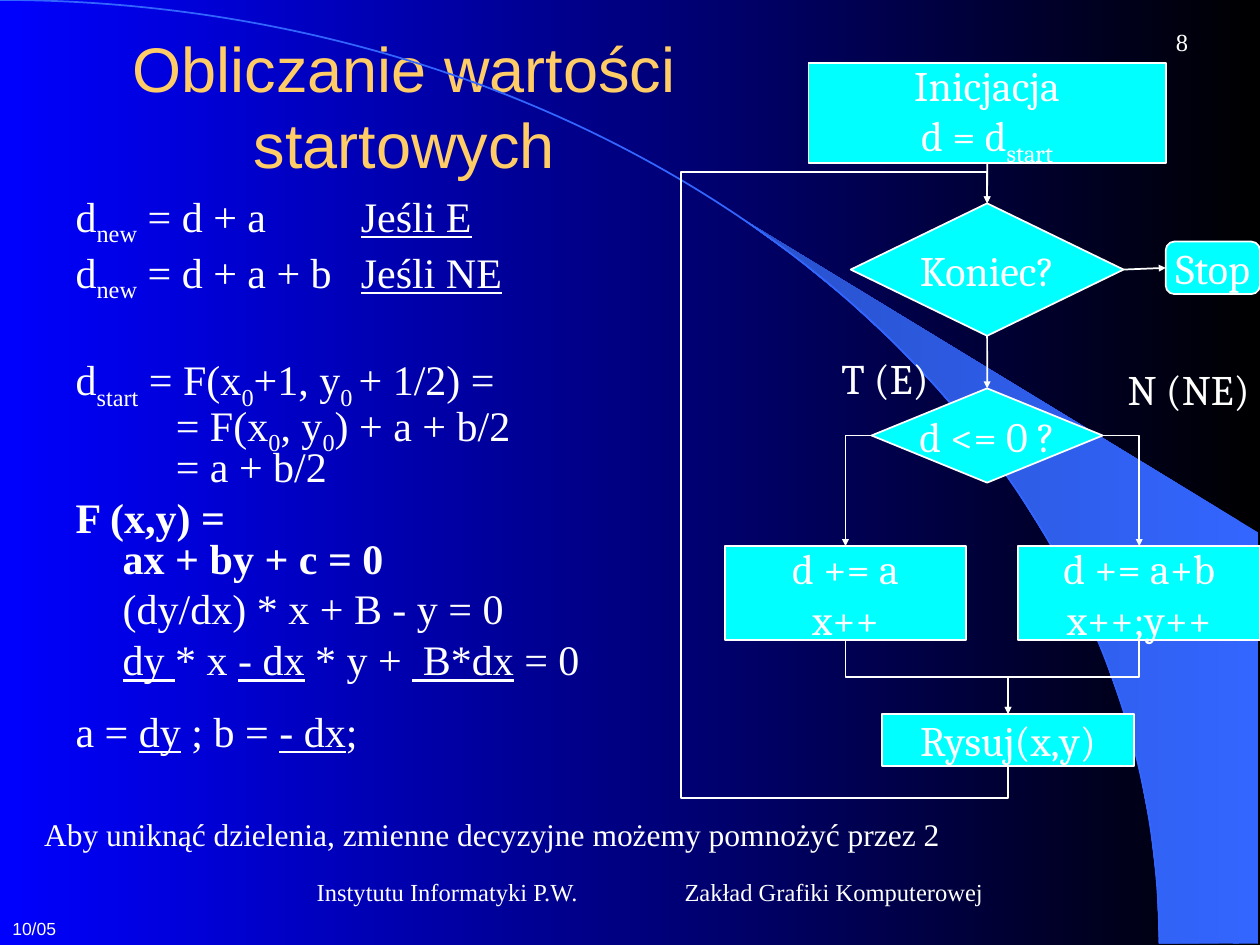
import copy
import math
from dataclasses import dataclass, field
from typing import Any, NamedTuple

import pptx
import pptx.dml.color
import pptx.enum.shapes
import pptx.enum.text
import pptx.oxml
import pptx.oxml.ns
import pptx.util
from lxml import etree

Cm = pptx.util.Cm
Pt = pptx.util.Pt
Kind = pptx.enum.shapes.MSO_SHAPE
Align = pptx.enum.text.PP_ALIGN
Anchor = pptx.enum.text.MSO_ANCHOR
qn = pptx.oxml.ns.qn

TOP, LEFT, BOTTOM, RIGHT = range(4)
ARC_X, ARC_Y = 23.37, 19.02


@dataclass(frozen=True)
class Theme:
    white: str = "FFFFFF"
    gold: str = "FFCC66"
    cyan: str = "00FFFF"
    black: str = "000000"
    blue: str = "0000FF"
    arc: str = "3366FF"
    arc_dark: str = "2851CB"
    sans: str = "Arial"
    serif: str = "Times New Roman"
    chart: str = "Cambria"
    title: int = 36
    text: int = 24
    note: int = 18
    footer: int = 14
    date: int = 10
    line: int = 1


THEME = Theme()


class Run(NamedTuple):
    text: str
    format: dict[str, Any] = {}
    subscript: bool = False


class Frame(NamedTuple):
    left: float
    top: float
    width: float
    height: float


@dataclass(frozen=True)
class Formula:
    runs: list[Run]
    margin: float = 0
    indent: float = 0
    before: float = 6


@dataclass(frozen=True)
class Node:
    name: str
    kind: Any
    frame: Frame
    lines: list[list[Run]]


@dataclass(frozen=True)
class Label:
    frame: Frame
    text: str
    size: int
    font: str = THEME.serif
    format: dict[str, Any] = field(default_factory=dict)
    align: Any = Align.LEFT


@dataclass(frozen=True)
class Link:
    start: str
    start_side: int
    end: str
    end_side: int
    preset: str = "line"
    rotation: int = 0
    flip: str = ""
    percents: tuple[float, ...] = ()


def sub(text: str) -> Run:
    return Run(text, subscript=True)


def under(text: str) -> Run:
    return Run(text, {"underline": True})


D_NEW = [Run("d"), sub("new")]
BODY = [
    Formula([*D_NEW, Run(" = d + a\t"), under("Jeśli E")], 5.75, -5.75, 0),
    Formula([*D_NEW, Run(" = d + a + b\t"), under("Jeśli NE")], 5.75, -5.75),
    Formula([Run("d"), sub("start"), Run(" = F(x"), sub("0"), Run("+1, y"), sub("0 "),
             Run("+ 1/2) =\n= F(x"), sub("0"), Run(", y"), sub("0"),
             Run(") + a + b/2\n= a + b/2")], 2.02, -2.02, 35),
    Formula([Run("F (x,y) =\nax + by + c = 0", {"bold": True})], 0.95, -0.95),
    Formula([Run("(dy/dx) * x + B - y = 0")], 0.95),
    Formula([under("dy "), Run("* x "), under("- dx"), Run(" * y + "), under(" B*dx"),
             Run(" = 0")], 0.95),
    Formula([Run("a = "), under("dy"), Run(" ; b = "), under("- dx"), Run(";")], before=18),
]
NODES = [
    Node("test", Kind.FLOWCHART_DECISION, Frame(17.57, 7.83, 4.66, 1.9), [[Run("d <= 0 ?")]]),
    Node("draw", Kind.FLOWCHART_PROCESS, Frame(17.78, 14.39, 5.08, 1.06), [[Run("Rysuj(x,y)")]]),
    Node("init", Kind.FLOWCHART_PROCESS, Frame(16.3, 1.27, 7.2, 2.02),
         [[Run("Inicjacja")], [Run("d = d"), sub("start")]]),
    Node("end", Kind.FLOWCHART_DECISION, Frame(17.15, 4.1, 5.5, 2.67), [[Run("Koniec?")]]),
    Node("stop", Kind.FLOWCHART_ALTERNATE_PROCESS, Frame(23.5, 4.87, 1.9, 1.06), [[Run("Stop")]]),
    Node("northeast", Kind.FLOWCHART_PROCESS, Frame(20.53, 11.01, 4.87, 1.9),
         [[Run("d += a+b")], [Run("x++;y++")]]),
    Node("east", Kind.FLOWCHART_PROCESS, Frame(14.61, 11.01, 4.87, 1.9),
         [[Run("d += a")], [Run("x++")]]),
]
LINKS = [
    Link("init", BOTTOM, "end", TOP),
    Link("end", BOTTOM, "test", TOP),
    Link("end", RIGHT, "stop", LEFT),
    Link("test", RIGHT, "northeast", TOP, "bentConnector2"),
    Link("test", LEFT, "east", TOP, "bentConnector2", 180, "flipV"),
    Link("east", BOTTOM, "draw", TOP, "bentConnector3", 270, "flipH", (50,)),
    Link("northeast", BOTTOM, "draw", TOP, "bentConnector3", 90, "", (50,)),
    Link("draw", BOTTOM, "end", TOP, "bentConnector5", 270, "flipV", (-5.6, 1570, 105.6)),
]
FOOTER = {"vertical_anchor": Anchor.MIDDLE, "word_wrap": True}
LABELS = [
    Label(Frame(0, 18.38, 1.7, 0.69), "10/05", THEME.date, THEME.sans, {"word_wrap": True}),
    Label(Frame(22.48, 7.2, 3.02, 1.27), "N (NE)", THEME.text, THEME.chart, {"word_wrap": False}),
    Label(Frame(16.71, 6.99, 2.31, 1.27), "T (E)", THEME.text, THEME.chart, {"word_wrap": False}),
    Label(Frame(0.64, 16.31, 20.96, 1.02),
          "Aby uniknąć dzielenia, zmienne decyzyjne możemy pomnożyć przez 2",
          THEME.note, format={"word_wrap": True}),
    Label(Frame(13.55, 17.58, 10, 0.79), "Zakład Grafiki Komputerowej", THEME.footer, format=FOOTER),
    Label(Frame(22.66, 0.2, 2.34, 1.27), "8", THEME.footer, format=FOOTER, align=Align.CENTER),
    Label(Frame(1.9, 17.58, 10, 0.79), "Instytutu Informatyki P.W.", THEME.footer,
          format=FOOTER, align=Align.RIGHT),
]


def color(value: str) -> pptx.dml.color.RGBColor:
    return pptx.dml.color.RGBColor.from_string(value)


def apply(target: Any, values: dict[str, Any]) -> None:
    for name, value in values.items():
        setattr(target, name, value)


def lengths(frame: Frame) -> dict[str, int]:
    return {name: Cm(value) for name, value in frame._asdict().items()}


def write(paragraph: Any, runs: list[Run], font: str, size: int, paint: str = THEME.white) -> None:
    for item in runs:
        for index, part in enumerate(item.text.split("\n")):
            if index:
                paragraph.add_line_break()
                paragraph._p[-1].append(copy.deepcopy(run._r.rPr))
            run = paragraph.add_run()
            run.text = part
            apply(run.font, {"name": font, "size": Pt(size), **item.format})
            run.font.color.rgb = color(paint)
            if item.subscript:
                run._r.rPr.set("baseline", "-25000")


def paragraph_at(text_frame: Any, index: int) -> Any:
    return text_frame.add_paragraph() if index else text_frame.paragraphs[0]


def gradient(fill: Any, start: str, end: str) -> None:
    fill.gradient()
    fill.gradient_angle = 180
    for stop, paint, position in zip(fill.gradient_stops, (start, end), (0, 1)):
        stop.color.rgb = color(paint)
        stop.position = position


def stroke(line: Any, paint: str) -> None:
    line.color.rgb = color(paint)
    line.width = Pt(THEME.line)


def draw_backdrop(slide: Any, steps: int = 14) -> None:
    gradient(slide.background.fill, THEME.black, THEME.blue)
    angles = [math.radians(39.8 + 50.2 * step / steps) for step in range(steps + 1)]
    edge = [(ARC_X * math.sin(angle), ARC_Y * (1 - math.cos(angle))) for angle in angles]
    points = [(Cm(x), Cm(y)) for x, y in [*edge, (25.37, 19.02), (25.37, 10.74)]]
    builder = slide.shapes.build_freeform(*points[0])
    builder.add_line_segments(points[1:], close=True)
    wedge = builder.convert_to_shape()
    wedge.shadow.inherit = False
    gradient(wedge.fill, THEME.arc, THEME.arc_dark)
    wedge.line.fill.background()
    curve = slide.shapes.add_shape(Kind.ARC, Cm(-ARC_X), 0, Cm(2 * ARC_X), Cm(2 * ARC_Y))
    curve.shadow.inherit = False
    curve.fill.background()
    stroke(curve.line, THEME.arc)


def draw_body(shape: Any) -> None:
    for index, formula in enumerate(BODY):
        paragraph = paragraph_at(shape.text_frame, index)
        properties = paragraph._p.get_or_add_pPr()
        properties.set("marL", str(Cm(formula.margin)))
        properties.set("indent", str(Cm(formula.indent)))
        etree.SubElement(properties, qn("a:buNone"))
        apply(paragraph, {"line_spacing": 0.8, "space_before": Pt(formula.before),
                          "alignment": Align.LEFT})
        write(paragraph, formula.runs, THEME.serif, THEME.text)


def draw_node(slide: Any, node: Node) -> Any:
    shape = slide.shapes.add_shape(node.kind, *lengths(node.frame).values())
    shape.shadow.inherit = False
    shape.fill.solid()
    shape.fill.fore_color.rgb = color(THEME.cyan)
    stroke(shape.line, THEME.white)
    apply(shape.text_frame, {"word_wrap": False, "vertical_anchor": Anchor.MIDDLE})
    for index, runs in enumerate(node.lines):
        paragraph = paragraph_at(shape.text_frame, index)
        paragraph.alignment = Align.CENTER
        write(paragraph, runs, THEME.chart, THEME.text)
    return shape


def bend(connector: Any, link: Link) -> None:
    across = connector.end_x - connector.begin_x
    down = connector.end_y - connector.begin_y
    center_x, center_y = connector.begin_x + across / 2, connector.begin_y + down / 2
    width, height = abs(across), abs(down)
    if link.rotation % 180:
        width, height = height, width
    apply(connector, {"left": int(center_x - width / 2), "top": int(center_y - height / 2),
                      "width": width, "height": height})
    transform = connector._element.spPr.find(qn("a:xfrm"))
    for name in ("flipH", "flipV"):
        transform.set(name, str(int(name == link.flip)))
    transform.set("rot", str(link.rotation * 60000))
    geometry = connector._element.spPr.find(qn("a:prstGeom"))
    geometry.set("prst", link.preset)
    guides = geometry.find(qn("a:avLst"))
    for number, value in enumerate(link.percents, 1):
        etree.SubElement(guides, qn("a:gd"), name=f"adj{number}", fmla=f"val {round(value * 1000)}")


def draw_link(slide: Any, link: Link, nodes: dict[str, Any]) -> None:
    types = pptx.enum.shapes.MSO_CONNECTOR
    straight = link.preset == "line"
    connector = slide.shapes.add_connector(types.STRAIGHT if straight else types.ELBOW, 0, 0, 0, 0)
    connector.begin_connect(nodes[link.start], link.start_side)
    connector.end_connect(nodes[link.end], link.end_side)
    if not straight:
        bend(connector, link)
    stroke(connector.line, THEME.white)
    etree.SubElement(connector.line._get_or_add_ln(), qn("a:tailEnd"),
                     type="triangle", w="sm", len="sm")
    etree.SubElement(connector._element.spPr, qn("a:effectLst"))


def draw_label(slide: Any, label: Label) -> None:
    text_frame = slide.shapes.add_textbox(*lengths(label.frame).values()).text_frame
    apply(text_frame, label.format)
    text_frame.paragraphs[0].alignment = label.align
    write(text_frame.paragraphs[0], [Run(label.text)], label.font, label.size)


def main() -> None:
    presentation = pptx.Presentation()
    apply(presentation, {"slide_width": Cm(25.4), "slide_height": Cm(19.05)})
    slide = presentation.slides.add_slide(presentation.slide_layouts[1])
    draw_backdrop(slide)
    title, body = slide.shapes.title, slide.placeholders[1]
    for shape, frame, anchor in ((title, Frame(1.27, 0.85, 13.76, 2.54), Anchor.MIDDLE),
                                 (body, Frame(1.27, 3.81, 13.12, 12.49), Anchor.TOP)):
        apply(shape, lengths(frame))
        apply(shape.text_frame, {"word_wrap": True, "vertical_anchor": anchor,
                                 "auto_size": pptx.enum.text.MSO_AUTO_SIZE.NONE})
    title.text_frame.paragraphs[0].alignment = Align.CENTER
    write(title.text_frame.paragraphs[0], [Run("Obliczanie wartości startowych")],
          THEME.sans, THEME.title, THEME.gold)
    draw_body(body)
    nodes = {node.name: draw_node(slide, node) for node in NODES}
    for link in LINKS:
        draw_link(slide, link, nodes)
    for label in LABELS:
        draw_label(slide, label)
    presentation.save("out.pptx")


if __name__ == "__main__":
    main()
